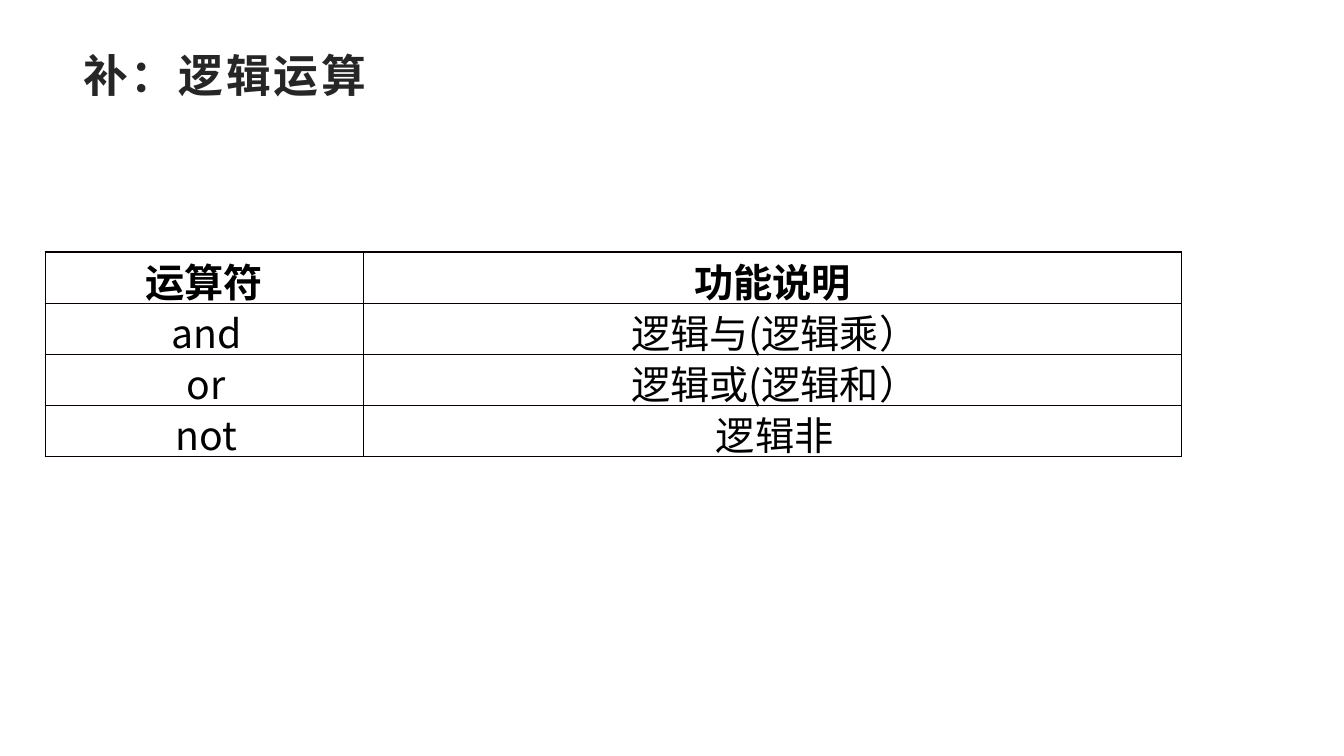
import pptx
import pptx.util
import pptx.dml.color
import pptx.enum.text
import pptx.oxml
import pptx.oxml.ns
from pptx.util import Cm, Pt

TITLE = "补：逻辑运算"
ROWS = [
    ("运算符", "功能说明"),
    ("and", "逻辑与(逻辑乘）"),
    ("or", "逻辑或(逻辑和）"),
    ("not", "逻辑非"),
]

BLACK = pptx.dml.color.RGBColor(0x00, 0x00, 0x00)
GRID = pptx.dml.color.RGBColor(0x08, 0x00, 0x00)
CHARCOAL = pptx.dml.color.RGBColor(0x26, 0x26, 0x26)
CJK_FONT = "Noto Sans CJK SC"
TITLE_FORMAT = {"name": "Arial", "size": Pt(32), "bold": True}
CELL_FORMAT = {"name": CJK_FONT, "size": Pt(28)}
COLUMN_WIDTHS = (Cm(8.02), Cm(20.62))
ROW_HEIGHT = Cm(1.29)


def write(para, text, formats, color):
    span = para.add_run()
    span.text = text
    for name, value in formats.items():
        setattr(span.font, name, value)
    span.font.color.rgb = color
    properties = span.font._element
    east_asian = pptx.oxml.parse_xml(
        f'<a:ea {pptx.oxml.ns.nsdecls("a")} typeface="{CJK_FONT}"/>')
    properties.find(pptx.oxml.ns.qn("a:latin")).addnext(east_asian)
    return span


def add_borders(cell, last_column):
    """Line all four sides; the table's outer right edge is thinner."""
    properties = cell._tc.get_or_add_tcPr()
    for position, side in enumerate("LRTB"):
        outer = side == "R" and last_column
        width, color = (Pt(0.75), BLACK) if outer else (Pt(1), GRID)
        line = pptx.oxml.parse_xml(
            f'<a:ln{side} {pptx.oxml.ns.nsdecls("a")} w="{width}"><a:solidFill>'
            f'<a:srgbClr val="{color}"/></a:solidFill></a:ln{side}>')
        properties.insert(position, line)


deck = pptx.Presentation()
deck.slide_width, deck.slide_height = Cm(33.87), Cm(19.05)
page = deck.slides.add_slide(deck.slide_layouts[6])

box = page.shapes.add_textbox(Cm(1.85), Cm(1.22), Cm(30.15), Cm(1.98))
box.text_frame.word_wrap = True
title = box.text_frame.paragraphs[0]
title.line_spacing = 0.9
span = write(title, TITLE, TITLE_FORMAT, CHARCOAL)
span.font._element.set("spc", "200")

table = page.shapes.add_table(
    len(ROWS), len(COLUMN_WIDTHS), Cm(1.14), Cm(6.35),
    sum(COLUMN_WIDTHS), ROW_HEIGHT * len(ROWS)).table
table.horz_banding = False
for column, width in zip(table.columns, COLUMN_WIDTHS):
    column.width = width
for row_index, texts in enumerate(ROWS):
    header = row_index == 0
    table.rows[row_index].height = ROW_HEIGHT
    for column_index, text in enumerate(texts):
        cell = table.cell(row_index, column_index)
        cell.margin_left = Cm(0 if header else 0.1)
        cell.margin_right = cell.margin_top = cell.margin_bottom = 0
        cell.fill.background()
        add_borders(cell, column_index == len(texts) - 1)
        para = cell.text_frame.paragraphs[0]
        para.alignment = pptx.enum.text.PP_ALIGN.CENTER
        write(para, text, {**CELL_FORMAT, "bold": header}, BLACK)

deck.save("out.pptx")
